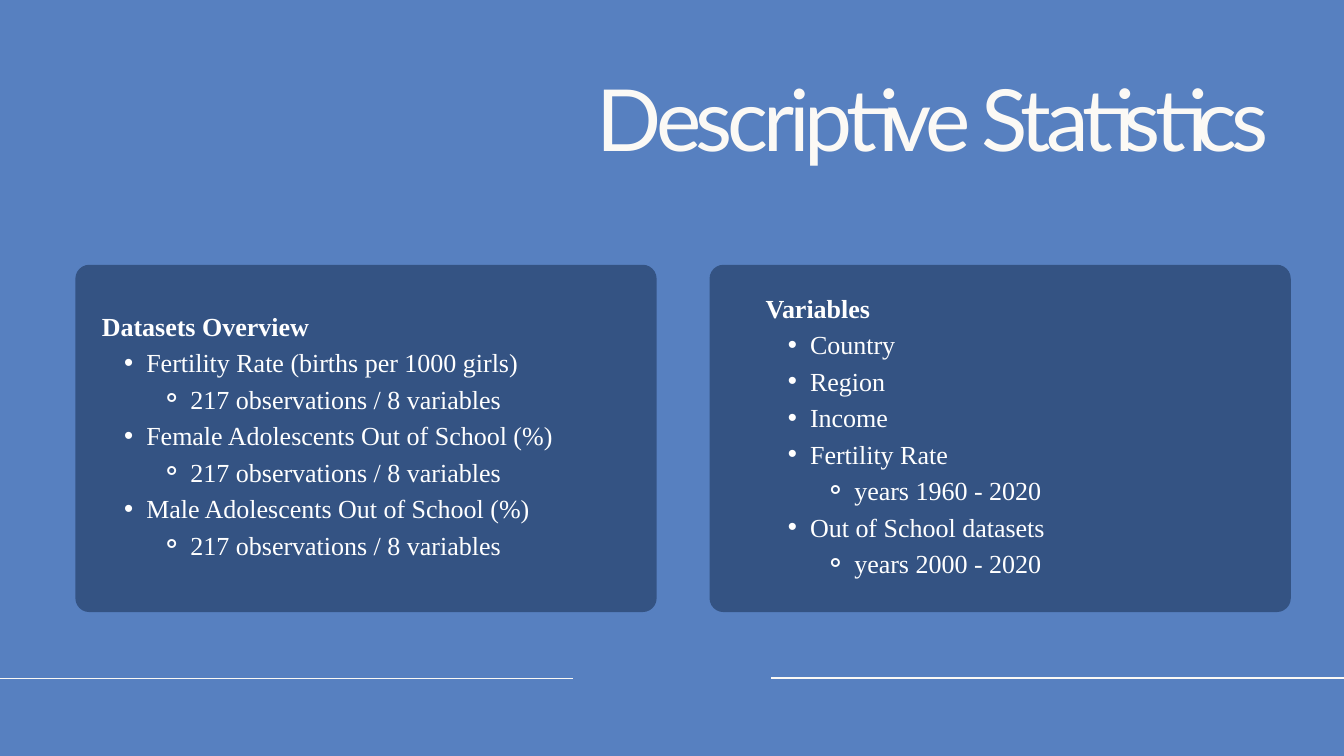
from dataclasses import dataclass

from lxml import etree
from pptx import Presentation
from pptx.dml.color import RGBColor
from pptx.enum.shapes import MSO_CONNECTOR, MSO_SHAPE
from pptx.enum.text import MSO_AUTO_SIZE, PP_ALIGN
from pptx.oxml.ns import qn
from pptx.util import Cm, Pt

ROUND = MSO_SHAPE.ROUNDED_RECTANGLE
LINE = MSO_CONNECTOR.STRAIGHT
GROW = MSO_AUTO_SIZE.SHAPE_TO_FIT_TEXT
LEFT, RIGHT = PP_ALIGN.LEFT, PP_ALIGN.RIGHT


@dataclass(frozen=True)
class Theme:
    back: RGBColor = RGBColor(0x57, 0x80, 0xC0)
    card: RGBColor = RGBColor(0x34, 0x53, 0x83)
    cream: RGBColor = RGBColor(0xFB, 0xF9, 0xF5)
    white: RGBColor = RGBColor(0xFF, 0xFF, 0xFF)
    head: str = "Lato"
    body: str = "Times New Roman"
    big: Pt = Pt(91.8)
    small: Pt = Pt(27.9)
    big_lead: Pt = Pt(71.6)
    lead: Pt = Pt(39.1)
    rule: Pt = Pt(1.5)


THEME = Theme()
WIDE, HIGH = 50.8, 28.58
BULLETS = {1: ("•", 1.68, -0.84), 2: ("⚬", 3.35, -1.12)}

DATA = [(0, "Datasets Overview")]
for name in (
    "Fertility Rate (births per 1000 girls)",
    "Female Adolescents Out of School (%)",
    "Male Adolescents Out of School (%)",
):
    DATA += [(1, name), (2, "217 observations / 8 variables")]

FIELDS = [
    (0, "Variables"),
    (1, "Country"),
    (1, "Region"),
    (1, "Income"),
    (1, "Fertility Rate"),
    (2, "years 1960 - 2020"),
    (1, "Out of School datasets"),
    (2, "years 2000 - 2020"),
]


def add_frame(slide, box):
    frame = slide.shapes.add_textbox(*map(Cm, box)).text_frame
    frame.word_wrap = True
    frame.auto_size = GROW
    frame.margin_left = frame.margin_right = 0
    frame.margin_top = frame.margin_bottom = 0
    return frame


def add_run(para, text, face, size, color, bold=False):
    run = para.add_run()
    run.text = text
    font = run.font
    font.name, font.size, font.bold = face, size, bold
    font.color.rgb = color
    return run


def add_bullet(para, level):
    char, indent, hang = BULLETS[level]
    props = para._p.get_or_add_pPr()
    props.set("marL", str(Cm(indent)))
    props.set("indent", str(Cm(hang)))
    etree.SubElement(props, qn("a:buFont"), typeface="Arial")
    etree.SubElement(props, qn("a:buChar"), char=char)


def add_title(slide, box):
    para = add_frame(slide, box).paragraphs[0]
    para.alignment = RIGHT
    para.line_spacing = THEME.big_lead
    run = add_run(para, "Descriptive Statistics", THEME.head, THEME.big, THEME.cream)
    run.font._element.set("spc", "-570")


def add_card(slide, box, inset, rows):
    left, top, width, height = box
    card = slide.shapes.add_shape(ROUND, *map(Cm, box))
    card.shadow.inherit = False
    card.adjustments[0] = 0.04
    card.fill.solid()
    card.fill.fore_color.rgb = THEME.card
    card.line.fill.background()

    x, y, w, h = inset
    frame = add_frame(slide, (left + x, top + y, w, h))
    for i, (level, text) in enumerate(rows):
        para = frame.add_paragraph() if i else frame.paragraphs[0]
        para.alignment = LEFT
        para.level = level
        para.line_spacing = THEME.lead
        if level:
            add_bullet(para, level)
        add_run(para, text, THEME.body, THEME.small, THEME.white, level == 0)


def add_rule(slide, left, top, width):
    rule = slide.shapes.add_connector(
        LINE, Cm(left), Cm(top), Cm(left + width), Cm(top)
    )
    rule.line.color.rgb = THEME.cream
    rule.line.width = THEME.rule
    etree.SubElement(rule._element.spPr, qn("a:effectLst"))


def main():
    deck = Presentation()
    deck.slide_width, deck.slide_height = Cm(WIDE), Cm(HIGH)
    slide = deck.slides.add_slide(deck.slide_layouts[6])
    fill = slide.background.fill
    fill.solid()
    fill.fore_color.rgb = THEME.back

    span = 21.64
    add_rule(slide, 0, 25.65, span)
    add_rule(slide, WIDE - span, 25.63, span)
    add_title(slide, (19.58, 3.84, 28.37, 5.41))

    left, top, width, height, gap = 2.85, 10.01, 21.97, 13.13, 2.0
    insets = (1.0, 1.52, 20.04, 9.75), (2.12, 0.84, 17.73, 11.13)
    for i, (inset, rows) in enumerate(zip(insets, (DATA, FIELDS))):
        box = (left + i * (width + gap), top, width, height)
        add_card(slide, box, inset, rows)

    deck.save("out.pptx")


if __name__ == "__main__":
    main()
